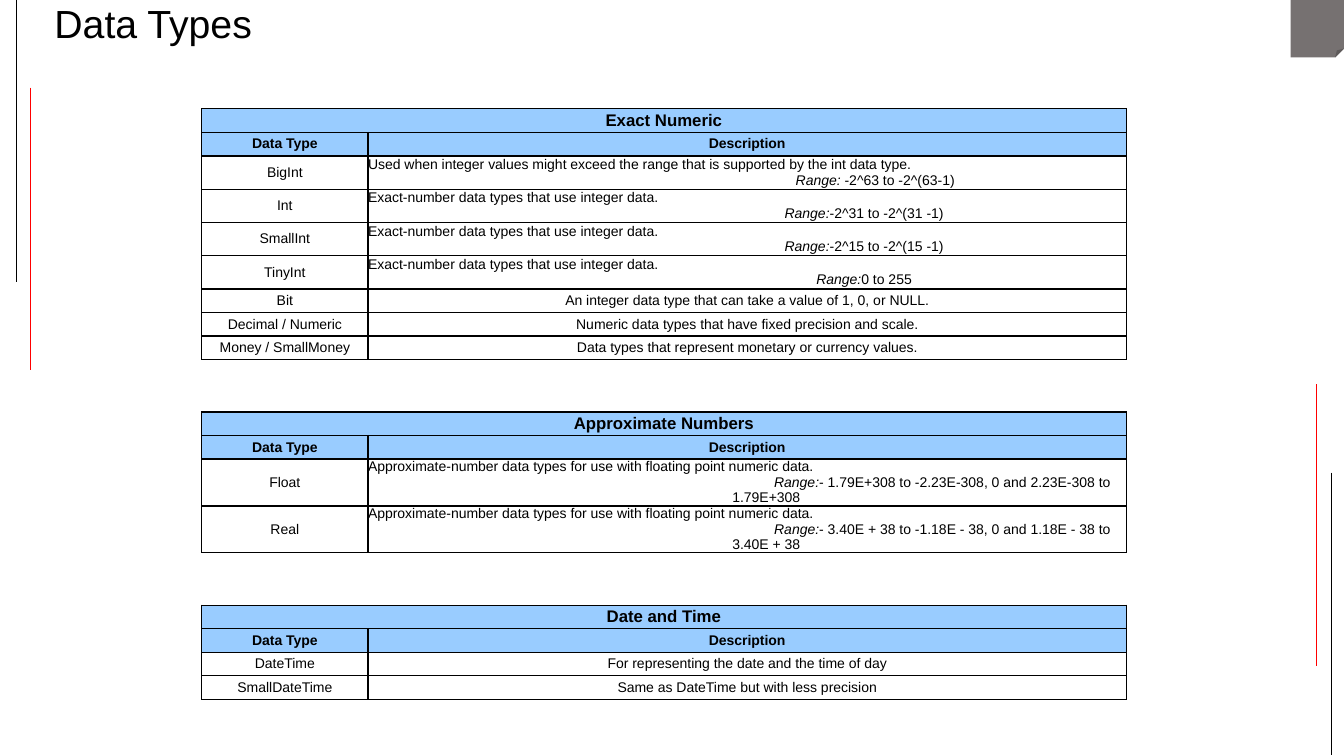
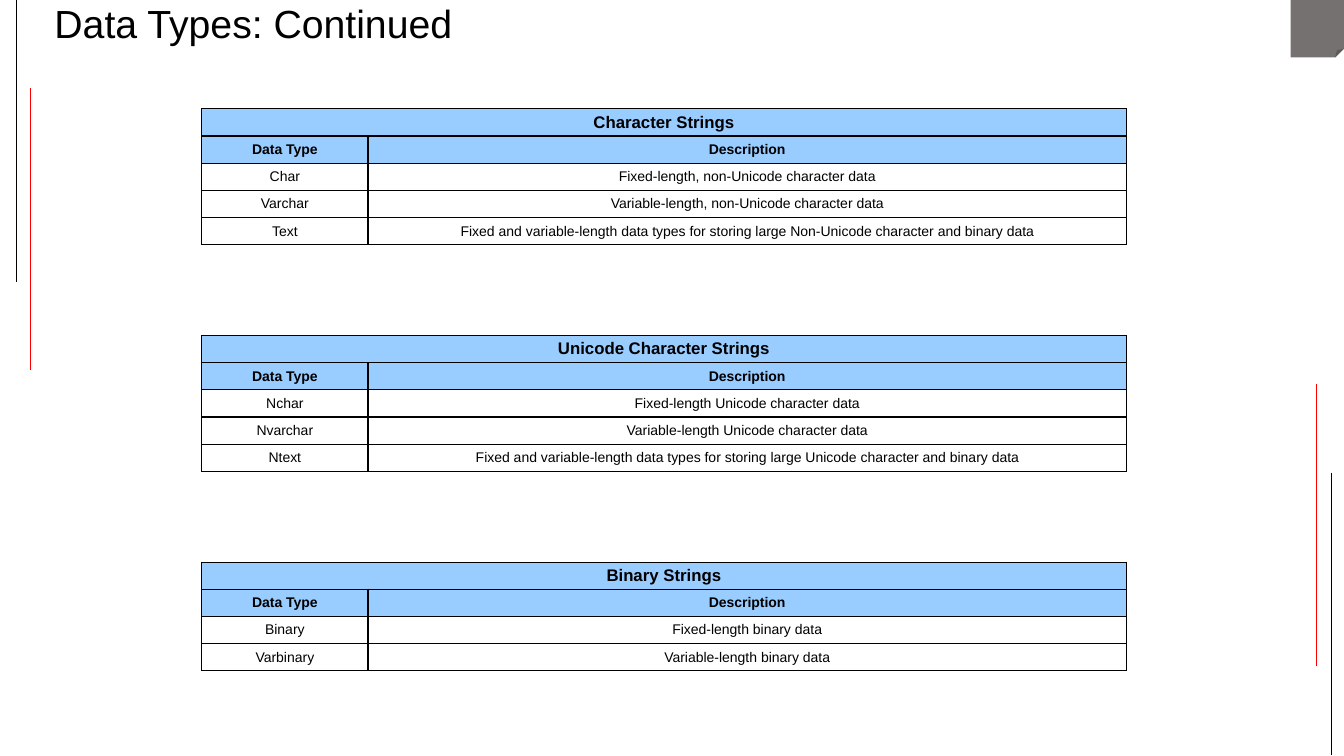
from dataclasses import dataclass

from lxml import etree
from pptx import Presentation
from pptx.dml.color import RGBColor
from pptx.enum.shapes import MSO_CONNECTOR, MSO_SHAPE
from pptx.enum.text import MSO_ANCHOR, PP_ALIGN
from pptx.oxml.ns import qn
from pptx.util import Inches, Pt

STRAIGHT = MSO_CONNECTOR.STRAIGHT
FOLDED_CORNER = MSO_SHAPE.FOLDED_CORNER
TOP, MIDDLE = MSO_ANCHOR.TOP, MSO_ANCHOR.MIDDLE
LEFT, CENTER = PP_ALIGN.LEFT, PP_ALIGN.CENTER
TITLE_ONLY = 5
NO_STYLE = "{2D5ABB26-0587-4C30-8999-92F81FD0307C}"


@dataclass(frozen=True)
class Theme:
    """Colours, type sizes and line widths of the deck."""

    font: str = "Arial"
    black: str = "000000"
    red: str = "FF0000"
    grey: str = "767171"
    header: str = "99CCFF"
    title_size: int = 28
    section_size: int = 12
    body_size: int = 10
    rule_width: float = 0.5
    border_width: float = 1


@dataclass(frozen=True)
class Box:
    """A region of the slide, in inches."""

    left: float
    top: float
    width: float
    height: float

    def lengths(self):
        """Return left, top, width and height as lengths."""
        return [Inches(value) for value in (self.left, self.top, self.width, self.height)]


@dataclass(frozen=True)
class Entry:
    """A data type, its description and an optional range line."""

    name: str
    description: str
    limits: str = ""
    indent: float = 1.94


@dataclass(frozen=True)
class Page:
    """The content and row rhythm of one slide."""

    title: str
    table_height: float
    gap_rows: int
    gap_height: float
    sections: dict


THEME = Theme()
SLIDE = Box(0, 0, 13.33, 7.5)
TITLE = Box(0.44, 0, 12.38, 1)
CORNER = Box(12.8, 0, 0.53, 0.57)
RULE_LENGTH = 2.8
RULES = [(0.16, 0, THEME.black), (0.3, 0.87, THEME.red),
         (13.2, 4.69, THEME.black), (13.06, 3.81, THEME.red)]
TABLE_LEFT, TABLE_TOP = 2, 1.08
COLUMNS = (1.65, 7.52)
TALL_ROW = 0.33
HANGING = 0.38

INTEGER = "Exact-number data types that use integer data."
FLOATING = "Approximate-number data types for use with floating point numeric data."
PAGES = [
    Page("Data Types", 5.59, 2, 0.26, {
        "Exact Numeric": [
            Entry("BigInt", "Used when integer values might exceed the range that is "
                  "supported by the int data type.", " -2^63 to -2^(63-1)", 2.16),
            Entry("Int", INTEGER, "-2^31 to -2^(31 -1)"),
            Entry("SmallInt", INTEGER, "-2^15 to -2^(15 -1)"),
            Entry("TinyInt", INTEGER, "0 to 255"),
            Entry("Bit", "An integer data type that can take a value of 1, 0, or NULL."),
            Entry("Decimal / Numeric", "Numeric data types that have fixed precision and scale."),
            Entry("Money / SmallMoney", "Data types that represent monetary or currency values."),
        ],
        "Approximate Numbers": [
            Entry("Float", FLOATING,
                  "- 1.79E+308 to -2.23E-308, 0 and 2.23E-308 to 1.79E+308", 3.49),
            Entry("Real", FLOATING,
                  "- 3.40E + 38 to -1.18E - 38, 0 and 1.18E - 38 to 3.40E + 38", 3.49),
        ],
        "Date and Time": [
            Entry("DateTime", "For representing the date and the time of day"),
            Entry("SmallDateTime", "Same as DateTime but with less precision"),
        ],
    }),
    Page("Data Types: Continued", 5.58, 3, 0.3, {
        "Character Strings": [
            Entry("Char", "Fixed-length, non-Unicode character data"),
            Entry("Varchar", "Variable-length, non-Unicode character data"),
            Entry("Text", "Fixed and variable-length data types for storing large "
                  "Non-Unicode character and binary data"),
        ],
        "Unicode Character Strings": [
            Entry("Nchar", "Fixed-length Unicode character data"),
            Entry("Nvarchar", "Variable-length Unicode character data"),
            Entry("Ntext", "Fixed and variable-length data types for storing large "
                  "Unicode character and binary data"),
        ],
        "Binary Strings": [
            Entry("Binary", "Fixed-length binary data"),
            Entry("Varbinary", "Variable-length binary data"),
        ],
    }),
]


def set_values(target, values):
    """Set each attribute named in values on the target."""
    for name, value in values.items():
        setattr(target, name, value)


def add_text(paragraph, text, size=THEME.body_size, bold=False, italic=False):
    """Add a formatted run to a paragraph."""
    run = paragraph.add_run()
    run.text = text
    set_values(run.font, {"name": THEME.font, "size": Pt(size), "bold": bold, "italic": italic})
    run.font.color.rgb = RGBColor.from_string(THEME.black)


def align(paragraph, alignment=CENTER, margin=HANGING, indent=-HANGING):
    """Set the alignment, left margin and first-line indent of a paragraph."""
    paragraph.alignment = alignment
    properties = paragraph._p.get_or_add_pPr()
    properties.set("marL", str(Inches(margin)))
    properties.set("indent", str(Inches(indent)))


def add_corner(slide, box):
    """Draw the folded page corner in its box."""
    corner = slide.shapes.add_shape(FOLDED_CORNER, *box.lengths())
    adjustments = corner._element.spPr.find(qn("a:prstGeom")).find(qn("a:avLst"))
    etree.SubElement(adjustments, qn("a:gd"), name="adj", fmla="val 16500")
    corner.shadow.inherit = False
    corner.fill.solid()
    corner.fill.fore_color.rgb = RGBColor.from_string(THEME.grey)
    corner.line.fill.background()
    return corner


def add_rule(slide, left, top, colour):
    """Draw one thin vertical rule."""
    x, y = Inches(left), Inches(top)
    rule = slide.shapes.add_connector(STRAIGHT, x, y, x, y + Inches(RULE_LENGTH))
    rule.line.color.rgb = RGBColor.from_string(colour)
    rule.line.width = Pt(THEME.rule_width)
    etree.SubElement(rule._element.spPr, qn("a:effectLst"))
    return rule


def decorate_master(presentation, slide):
    """Draw the shared decoration and move it to the slide master."""
    shapes = [add_corner(slide, CORNER)] + [add_rule(slide, *rule) for rule in RULES]
    for number, shape in enumerate(shapes, start=101):
        shape._element._nvXxPr.cNvPr.set("id", str(number))
        presentation.slide_master.shapes._spTree.append(shape._element)


def place_title(slide, text, box):
    """Move the title placeholder to its box and fill it."""
    title = slide.shapes.title
    set_values(title, dict(zip(("left", "top", "width", "height"), box.lengths())))
    set_values(title.text_frame, {"word_wrap": True, "vertical_anchor": TOP})
    paragraph = title.text_frame.paragraphs[0]
    set_values(paragraph, {"alignment": LEFT, "line_spacing": 0.9})
    add_text(paragraph, text, THEME.title_size)


def add_borders(cell):
    """Draw a solid line on all four sides of a cell."""
    properties = cell._tc.get_or_add_tcPr()
    for side in ("a:lnL", "a:lnR", "a:lnT", "a:lnB"):
        line = etree.SubElement(properties, qn(side), w=str(Pt(THEME.border_width)))
        fill = etree.SubElement(line, qn("a:solidFill"))
        etree.SubElement(fill, qn("a:srgbClr"), val=THEME.black)


def format_cells(row, bordered=True, filled=False):
    """Set the margins, borders and fill of a row of cells."""
    for cell in row.cells:
        margins = ("margin_left", "margin_top", "margin_right", "margin_bottom")
        set_values(cell, dict.fromkeys(margins, 0))
        cell.vertical_anchor = MIDDLE
        if bordered:
            add_borders(cell)
        if filled:
            cell.fill.solid()
            cell.fill.fore_color.rgb = RGBColor.from_string(THEME.header)
        else:
            cell.fill.background()


def fill_heading(row, labels, size):
    """Fill a blue heading row, merged when it has a single label."""
    format_cells(row, filled=True)
    if len(labels) == 1:
        row.cells[0].merge(row.cells[1])
    for cell, label in zip(row.cells, labels):
        paragraph = cell.text_frame.paragraphs[0]
        align(paragraph)
        add_text(paragraph, label, size, bold=True)


def fill_entry(row, entry):
    """Fill a row with a data type, its description and range."""
    format_cells(row)
    name, description = (cell.text_frame.paragraphs[0] for cell in row.cells)
    align(name)
    add_text(name, entry.name)
    add_text(description, entry.description)
    if not entry.limits:
        align(description)
        return
    align(description, LEFT, 0, 0)
    limits = row.cells[1].text_frame.add_paragraph()
    align(limits, CENTER, HANGING, entry.indent)
    add_text(limits, "Range:", italic=True)
    add_text(limits, entry.limits)


def fill_gap(row):
    """Leave a row empty, with text small enough to keep its height."""
    format_cells(row, bordered=False)
    for cell in row.cells:
        paragraph = cell.text_frame.paragraphs[0]
        etree.SubElement(paragraph._p, qn("a:endParaRPr"), sz=str(THEME.body_size * 100))


def plan_rows(page):
    """List the fill function, its arguments and the fixed height of each row."""
    plan = []
    for heading, entries in page.sections.items():
        if plan:
            plan += [(fill_gap, (), page.gap_height)] * page.gap_rows
        plan.append((fill_heading, ([heading], THEME.section_size), None))
        plan.append((fill_heading, (["Data Type", "Description"], THEME.body_size), None))
        plan += [(fill_entry, (entry,), TALL_ROW if entry.limits else None) for entry in entries]
    return plan


def add_type_table(slide, page, box):
    """Add the table of data types, sharing spare height among plain rows."""
    plan = plan_rows(page)
    fixed = [height for _, _, height in plan if height]
    plain = (box.height - sum(fixed)) / (len(plan) - len(fixed))
    table = slide.shapes.add_table(len(plan), len(COLUMNS), *box.lengths()).table
    set_values(table, {"first_row": False, "horz_banding": False})
    table._tbl.tblPr.find(qn("a:tableStyleId")).text = NO_STYLE
    for column, width in zip(table.columns, COLUMNS):
        column.width = Inches(width)
    for row, (fill_row, arguments, height) in zip(table.rows, plan):
        row.height = Inches(height or plain)
        fill_row(row, *arguments)


def build_page(presentation, page):
    """Build one slide with a title and its table."""
    slide = presentation.slides.add_slide(presentation.slide_layouts[TITLE_ONLY])
    place_title(slide, page.title, TITLE)
    add_type_table(slide, page, Box(TABLE_LEFT, TABLE_TOP, sum(COLUMNS), page.table_height))
    return slide


def main():
    """Build and save the presentation."""
    presentation = Presentation()
    set_values(presentation, {"slide_width": Inches(SLIDE.width),
                              "slide_height": Inches(SLIDE.height)})
    slides = [build_page(presentation, page) for page in PAGES]
    decorate_master(presentation, slides[0])
    presentation.save("out.pptx")


if __name__ == "__main__":
    main()
